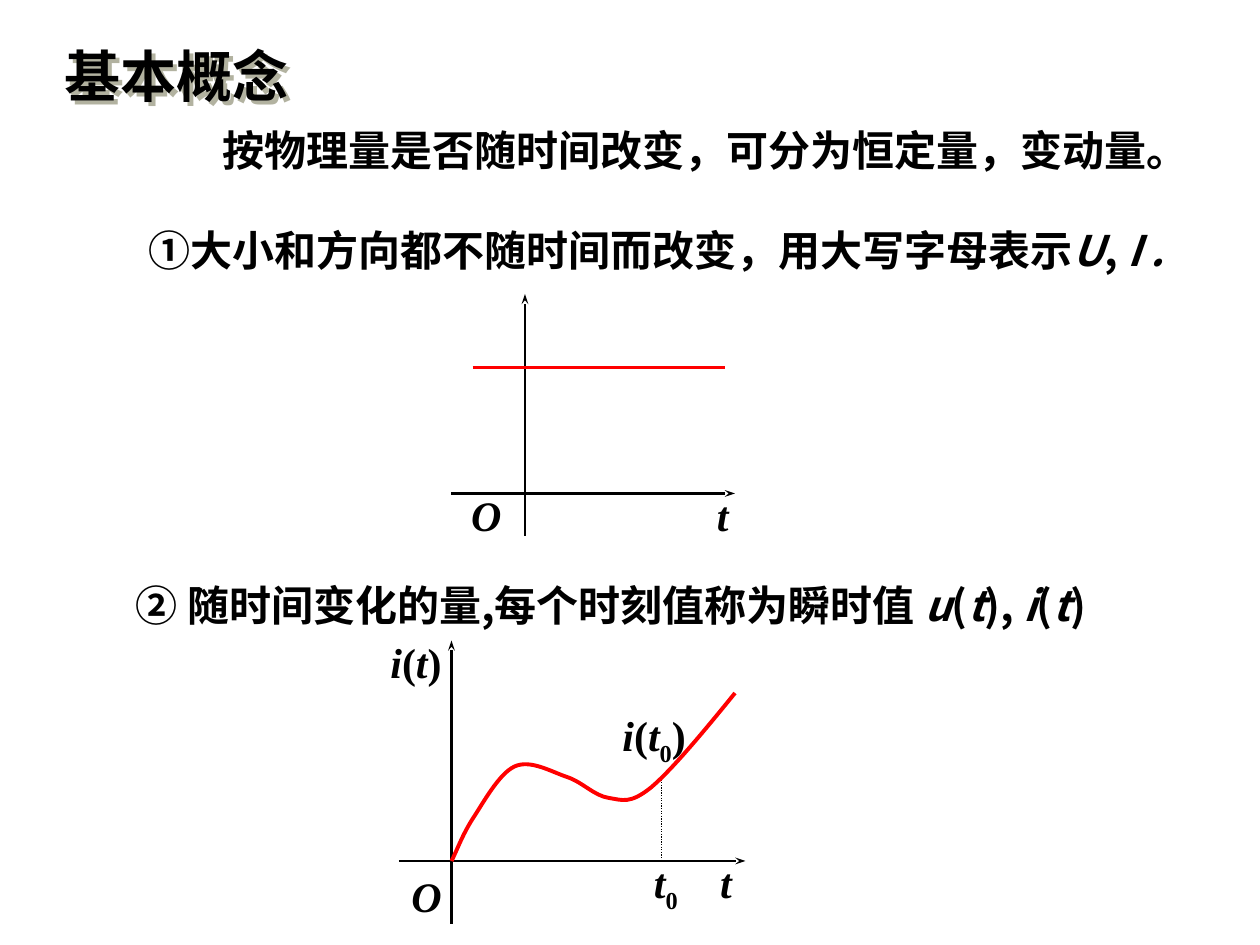
from dataclasses import dataclass

from lxml import etree
from pptx import Presentation, util as u
from pptx.dml.color import RGBColor
from pptx.enum import dml, shapes, text
from pptx.oxml import ns


@dataclass(frozen=True)
class Theme:
    ink: str = "000000"
    accent: str = "FF0000"
    shade: str = "B2B2A0"
    serif: str = "Times New Roman"
    sans: str = "Noto Sans CJK SC"
    title: float = 32
    body: float = 24
    axis: float = 1.5
    curve: float = 2.25
    guide: float = 0.75


class Board:
    columns, rows = 120, 90

    def __init__(self, presentation, theme):
        self.theme = theme
        self.cell = presentation.slide_width / self.columns
        self.slide = presentation.slides.add_slide(presentation.slide_layouts[6])

    def cells(self, *values):
        return [u.Emu(round(value * self.cell)) for value in values]

    def text(self, left, top, width, height, *runs, size=None, shadow=False):
        box = self.slide.shapes.add_textbox(*self.cells(left, top, width, height))
        frame = box.text_frame
        frame.word_wrap = False
        frame.auto_size = text.MSO_AUTO_SIZE.SHAPE_TO_FIT_TEXT
        frame.margin_right = 0
        for words, style in runs:
            self.run(frame.paragraphs[0], words, style, size or self.theme.body)
        if shadow:
            self.shadow(box)

    def run(self, paragraph, words, style, size):
        run = paragraph.add_run()
        run.text = words
        font = run.font
        font.size, font.bold, font.italic = u.Pt(size), True, "italic" in style
        font.color.rgb = RGBColor.from_string(self.theme.ink)
        font.name = self.theme.sans if "sans" in style else self.theme.serif
        properties = run._r.get_or_add_rPr()
        east_asian = etree.Element(ns.qn("a:ea"), typeface=self.theme.sans)
        properties.find(ns.qn("a:latin")).addnext(east_asian)
        if "sub" in style:
            properties.set("baseline", "-25000")

    def shadow(self, box):
        effects = etree.SubElement(box._element.spPr, ns.qn("a:effectLst"))
        outer = etree.SubElement(effects, ns.qn("a:outerShdw"),
                                 dist="35921", dir="2700000")
        etree.SubElement(outer, ns.qn("a:srgbClr"), val=self.theme.shade)

    def line(self, start, end, color, width, arrow=False, dashed=False):
        connector = self.slide.shapes.add_connector(
            shapes.MSO_CONNECTOR.STRAIGHT, *self.cells(*start, *end))
        self.stroke(connector, color, width)
        if dashed:
            connector.line.dash_style = dml.MSO_LINE.ROUND_DOT
        if arrow:
            etree.SubElement(connector.line._get_or_add_ln(),
                             ns.qn("a:tailEnd"), type="stealth", w="sm")
        etree.SubElement(connector._element.spPr, ns.qn("a:effectLst"))

    def axis(self, start, end):
        self.line(start, end, self.theme.ink, self.theme.axis, arrow=True)

    def curve(self, start, *points):
        builder = self.slide.shapes.build_freeform(*self.cells(*start))
        builder.add_line_segments([self.cells(*point) for point in points], close=False)
        shape = builder.convert_to_shape()
        shape.shadow.inherit = False
        shape.fill.background()
        self.stroke(shape, self.theme.accent, self.theme.curve)
        segments = list(shape._element.iter(ns.qn("a:lnTo")))
        for first in range(0, len(segments), 3):
            bezier = etree.Element(ns.qn("a:cubicBezTo"))
            segments[first].addprevious(bezier)
            for segment in segments[first:first + 3]:
                bezier.append(segment[0])
                segment.getparent().remove(segment)

    def stroke(self, shape, color, width):
        shape.line.color.rgb = RGBColor.from_string(color)
        shape.line.width = u.Pt(width)


def add_statements(board):
    board.text(5, 3.4, 23.8, 7.7, ("基本概念", ""), size=board.theme.title, shadow=True)
    board.text(20, 11.25, 94.3, 6,
               ("按物理量是否随时间改变，可分为恒定量，变动量。", ""))
    board.text(13, 20.75, 105.1, 6, ("①", ""),
               ("大小和方向都不随时间而改变，用大写字母表示", "sans"),
               ("U", "sans italic"), (", ", "sans"), ("I .", "sans italic"))
    board.text(11.75, 54.6, 106.2, 6, ("② ", ""),
               ("随时间变化的量,每个时刻值称为瞬时值 ", "sans"),
               ("u", "sans italic"), ("(", "sans"), ("t", "sans italic"), ("), ", "sans"),
               ("i", "sans italic"), ("(", "sans"), ("t", "sans italic"), (")", "sans"))


def add_constant_graph(board):
    board.axis((43, 47), (70, 47))
    board.axis((50, 51), (50, 28))
    board.line((45, 35), (69, 35), board.theme.accent, board.theme.curve)
    board.text(67.1, 46, 3.5, 6, ("t", "italic"))
    board.text(43.7, 46, 5.3, 6, ("O", "italic"))


def add_varying_graph(board):
    board.line((63, 74), (63, 82), board.theme.ink, board.theme.guide, dashed=True)
    board.axis((38, 82), (71, 82))
    board.axis((43, 88), (43, 61))
    board.curve((43, 82),
                (43.6, 80.8), (44, 79.6), (45, 78),
                (46, 76.5), (47.5, 73.7), (49, 73),
                (50.5, 72.3), (52.5, 73.5), (54, 74),
                (55.5, 74.5), (56.6, 75.8), (58, 76),
                (59.3, 76.2), (60, 76.6), (62, 75),
                (64, 73.3), (67, 69.7), (70, 66))
    t, zero = ("t", "italic"), ("0", "sub")
    opening, closing = [("i", "italic"), ("(", "")], (")", "")
    board.text(36, 60, 7.2, 6, *opening, t, closing)
    board.text(58.1, 67, 8.4, 6.7, *opening, t, zero, closing)
    board.text(61.1, 81, 4.7, 6.7, t, zero)
    board.text(67.4, 81, 3.5, 6, t)
    board.text(38, 82.3, 5.3, 6, ("O", "italic"))


def main():
    presentation = Presentation()
    presentation.slide_width, presentation.slide_height = u.Inches(10), u.Inches(7.5)
    board = Board(presentation, Theme())
    add_statements(board)
    add_constant_graph(board)
    add_varying_graph(board)
    presentation.save("out.pptx")


if __name__ == "__main__":
    main()
